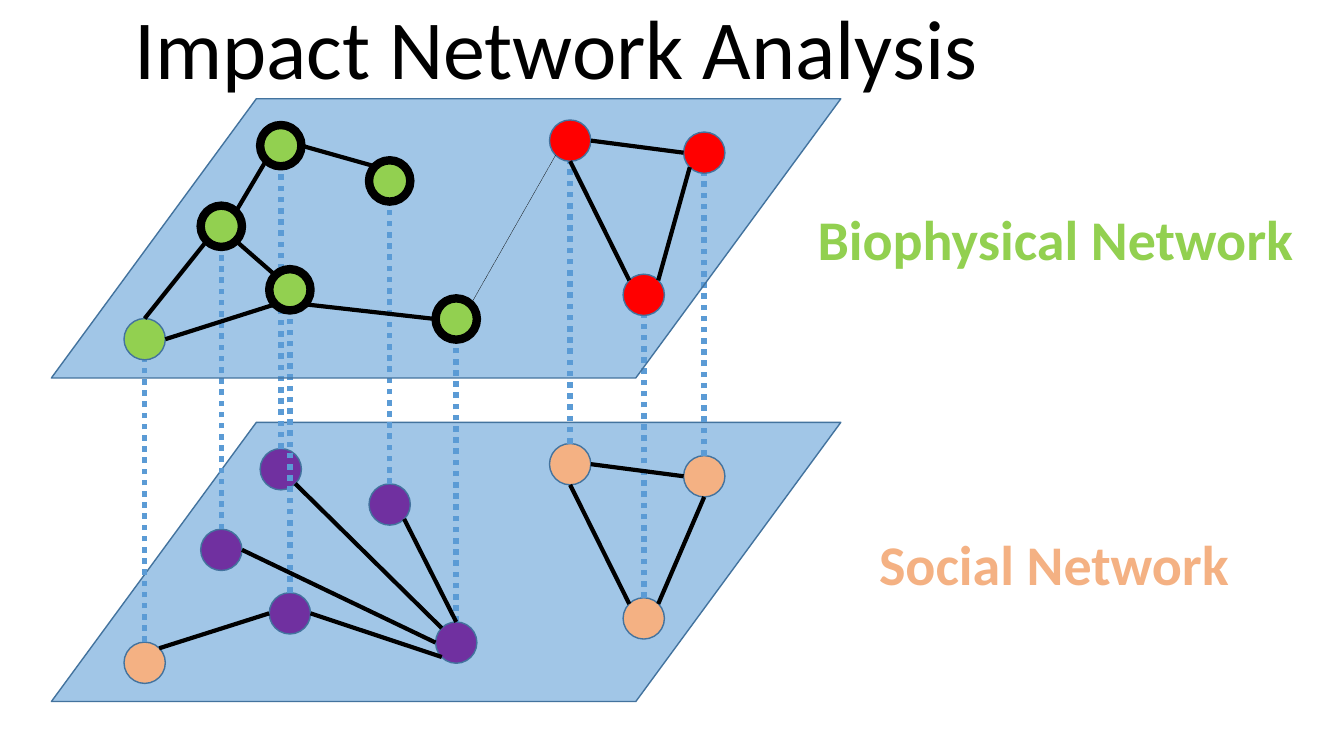
import pptx
import pptx.util
import pptx.dml.color
import pptx.enum.dml
import pptx.enum.shapes
import pptx.enum.text
import pptx.oxml
import pptx.oxml.ns

Inches = pptx.util.Inches
Pt = pptx.util.Pt
Shape = pptx.enum.shapes.MSO_SHAPE
Dash = pptx.enum.dml.MSO_LINE

LEFT, TOP, LOW = 0.51, 0.98, 4.19
WIDTH, HEIGHT = 7.83, 2.77
SIZE = 0.41
BLUE, RIM, BLACK = "5B9BD5", "43739E", "000000"
GREEN, RED, PURPLE, PEACH = "92D050", "FF0000", "7030A0", "F4B183"

# Top left corner of each node within its plane
NODES = {
    "A": (4.94, 0.21), "B": (2.07, 0.26), "C": (0.72, 2.18),
    "D": (1.48, 1.06), "E": (2.16, 1.69), "F": (3.81, 1.98),
    "G": (3.15, 0.61), "H": (5.67, 1.74), "I": (6.27, 0.33),
}
# Compass points on a node, as fractions of its size
SITES = {
    "n": (0.5, 0), "s": (0.5, 1), "w": (0, 0.5), "e": (1, 0.5),
    "nw": (0.15, 0.15), "ne": (0.85, 0.15),
    "sw": (0.15, 0.85), "se": (0.85, 0.85),
}
UPPER = ("I sw H ne", "A s H nw", "A e I w", "F w E se", "E sw C e",
         "D sw C n", "E nw D se", "B sw D ne", "G nw B e")
LOWER = ("G se F n", "B se F nw", "D e F w", "E e F sw", "C ne E w",
         "A s H nw", "A e I w", "H ne I s")


def color(code):
    return pptx.dml.color.RGBColor.from_string(code)


def write(shape, text, size, hue, bold=False, space=None):
    frame = shape.text_frame
    frame.word_wrap = True
    frame.vertical_anchor = pptx.enum.text.MSO_ANCHOR.TOP
    para = frame.paragraphs[0]
    para.alignment = pptx.enum.text.PP_ALIGN.LEFT
    para.line_spacing = space
    run = para.add_run()
    run.text = text
    run.font.name = "Calibri"
    run.font.size = Pt(size)
    run.font.bold = bold
    run.font.color.rgb = color(hue)


def draw(shapes, kind, box, fill, rim=RIM, weight=1):
    shape = shapes.add_shape(kind, *map(Inches, box))
    shape.shadow.inherit = False
    shape.fill.solid()
    shape.fill.fore_color.rgb = color(fill)
    shape.line.color.rgb = color(rim)
    shape.line.width = Pt(weight)
    return shape


def fade(shape, percent):
    """Set the opacity of a solid fill."""
    tint = shape.fill._xPr.find(".//" + pptx.oxml.ns.qn("a:srgbClr"))
    alpha = pptx.oxml.parse_xml(
        f'<a:alpha {pptx.oxml.ns.nsdecls("a")} val="{percent * 1000}"/>')
    tint.append(alpha)


def plane(slide, top, fills, bold=""):
    """Group a slanted plane with its nodes; those in bold get a thick rim."""
    shapes = slide.shapes.add_group_shape().shapes
    sheet = draw(shapes, Shape.PARALLELOGRAM, (LEFT, top, WIDTH, HEIGHT), BLUE)
    sheet.adjustments[0] = 0.734
    fade(sheet, 57)
    for name, (x, y) in NODES.items():
        rim, weight = (BLACK, 6) if name in bold else (RIM, 1)
        box = (LEFT + x, top + y, SIZE, SIZE)
        draw(shapes, Shape.OVAL, box, fills[name], rim, weight)


def point(name, site, top):
    (x, y), (across, down) = NODES[name], SITES[site]
    return Inches(LEFT + x + across * SIZE), Inches(top + y + down * SIZE)


def join(slide, start, end, hue=BLACK, weight=3, dash=None):
    straight = pptx.enum.shapes.MSO_CONNECTOR.STRAIGHT
    line = slide.shapes.add_connector(straight, *start, *end)
    line.line.color.rgb = color(hue)
    line.line.width = Pt(weight)
    line.line.dash_style = dash
    line._element.spPr.append(pptx.oxml.parse_xml(
        f'<a:effectLst {pptx.oxml.ns.nsdecls("a")}/>'))


def edges(slide, top, pairs, **style):
    for pair in pairs:
        first, leave, last, reach = pair.split()
        join(slide, point(first, leave, top), point(last, reach, top), **style)


def links(slide):
    """Tie each lower node to its twin above."""
    for name in NODES:
        join(slide, point(name, "n", LOW), point(name, "s", TOP),
             hue=BLUE, weight=4, dash=Dash.ROUND_DOT)


def label(slide, text, left, top, width, hue):
    box = slide.shapes.add_textbox(*map(Inches, (left, top, width, 0.77)))
    write(box, text, 40, hue, bold=True)


def title(slide, left, top, width, height):
    shape = slide.shapes.title
    shape.left, shape.top = Inches(left), Inches(top)
    shape.width, shape.height = Inches(width), Inches(height)
    write(shape, "Impact Network Analysis", 60, BLACK, space=0.9)


def main():
    deck = pptx.Presentation()
    deck.slide_width, deck.slide_height = Inches(13.33), Inches(7.5)
    slide = deck.slides.add_slide(deck.slide_layouts[5])
    social = {name: PEACH if name in "ACHI" else PURPLE for name in NODES}
    living = {name: RED if name in "AHI" else GREEN for name in NODES}

    plane(slide, LOW, social)
    label(slide, "Social Network", 8.62, LOW + 1.01, 3.76, PEACH)
    label(slide, "Biophysical Network", 8.01, TOP + 1, 5.92, GREEN)
    links(slide)
    plane(slide, TOP, living, bold="BDEFG")
    title(slide, 1.23, 0.02, 11.5, 1.45)
    edges(slide, TOP, UPPER)
    edges(slide, TOP, ["A sw F ne"], weight=0.25, dash=Dash.ROUND_DOT)
    edges(slide, LOW, LOWER)
    deck.save("out.pptx")


if __name__ == "__main__":
    main()
